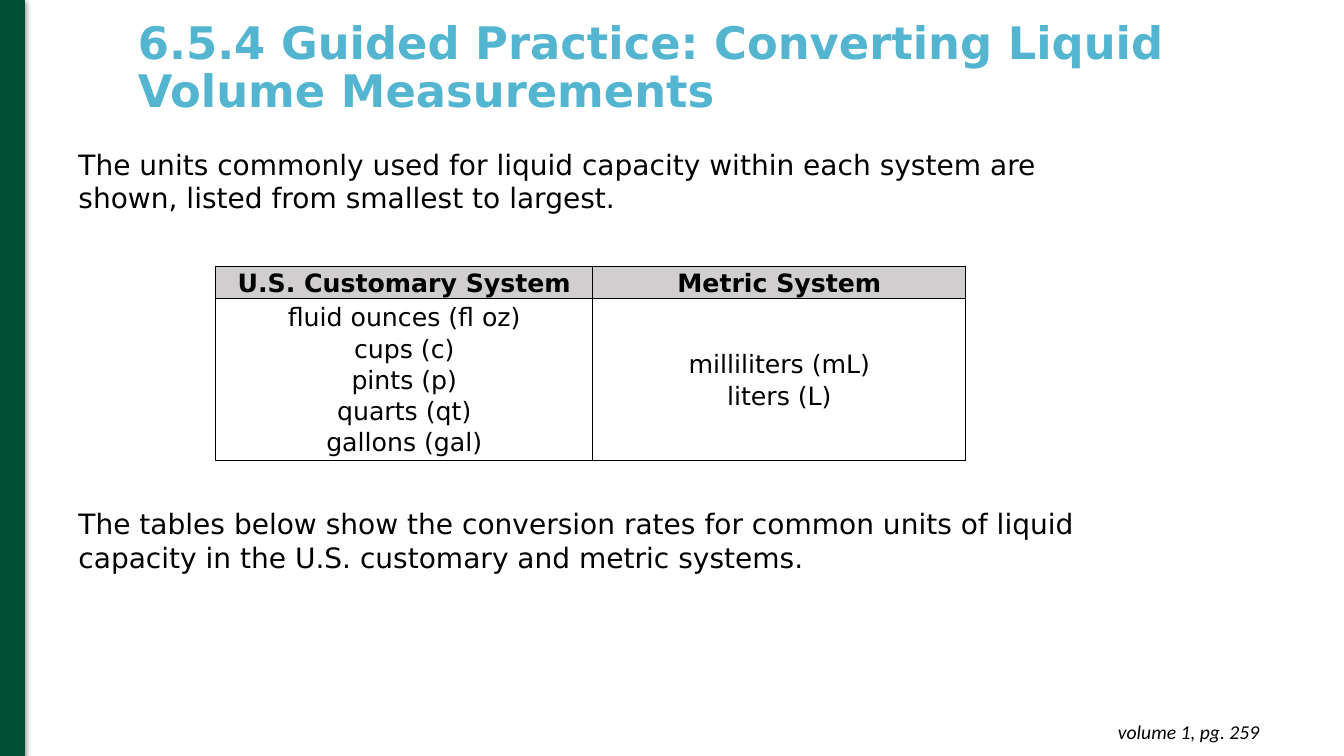
from lxml import etree
from pptx import Presentation
from pptx.dml.color import RGBColor
from pptx.enum.shapes import MSO_SHAPE
from pptx.enum.text import MSO_ANCHOR, PP_ALIGN
from pptx.oxml import parse_xml
from pptx.oxml.ns import nsdecls, qn
from pptx.util import Inches, Pt

RECT = MSO_SHAPE.RECTANGLE
MIDDLE, TOP = MSO_ANCHOR.MIDDLE, MSO_ANCHOR.TOP
LEFT, CENTER, RIGHT = PP_ALIGN.LEFT, PP_ALIGN.CENTER, PP_ALIGN.RIGHT
SANS = "DejaVu Sans"
BLACK, GREEN, BLUE, GRAY, WHITE = "000000", "035036", "54B5D1", "D0CECE", "FFFFFF"

INTRO = ("The units commonly used for liquid capacity within each system are "
         "shown, listed from smallest to largest.")
OUTRO = ("The tables below show the conversion rates for common units of liquid "
         "capacity in the U.S. customary and metric systems.")
UNITS = [
    ["U.S. Customary System", "Metric System"],
    ["fluid ounces (fl oz)\ncups (c)\npints (p)\nquarts (qt)\ngallons (gal)",
     "milliliters (mL)\nliters (L)"],
]


def color(code):
    return RGBColor.from_string(code)


def write(frame, text, size, code=BLACK, font=SANS, bold=False, italic=False,
          align=LEFT, spacing=None):
    """Fill a text frame with one paragraph per line of text."""
    frame.text = text
    for para in frame.paragraphs:
        para.alignment = align
        para.line_spacing = spacing
        para.font.name = font
        para.font.size = Pt(size)
        para.font.bold = bold
        para.font.italic = italic
        para.font.color.rgb = color(code)


def add_text(slide, box, text, size, anchor=TOP, pad=0.05, **style):
    frame = slide.shapes.add_textbox(*map(Inches, box)).text_frame
    frame.word_wrap = True
    frame.vertical_anchor = anchor
    frame.margin_top = frame.margin_bottom = Inches(pad)
    write(frame, text, size, **style)


def add_bar(slide, box):
    """Add the green side bar with its soft shadow."""
    bar = slide.shapes.add_shape(RECT, *map(Inches, box))
    bar.fill.solid()
    bar.fill.fore_color.rgb = color(GREEN)
    bar.line.color.rgb = color(GREEN)
    bar.line.width = Pt(0.75)
    bar.shadow.inherit = False
    effects = bar._element.spPr.find(qn("a:effectLst"))
    effects.append(parse_xml(
        f'<a:outerShdw {nsdecls("a")} blurRad="{Pt(4.5)}" dist="{Pt(1.5)}" '
        f'dir="5400000" rotWithShape="0"><a:srgbClr val="{BLACK}">'
        '<a:alpha val="50000"/></a:srgbClr></a:outerShdw>'))


def add_borders(cell):
    props = cell._tc.get_or_add_tcPr()
    for place, side in enumerate(("lnL", "lnR", "lnT", "lnB")):
        line = etree.Element(qn(f"a:{side}"), w=str(Pt(1)))
        fill = etree.SubElement(line, qn("a:solidFill"))
        etree.SubElement(fill, qn("a:srgbClr"), val=BLACK)
        props.insert(place, line)


def add_units(slide, left, top, widths, heights):
    table = slide.shapes.add_table(
        len(heights), len(widths), Inches(left), Inches(top),
        Inches(sum(widths)), Inches(sum(heights))).table
    for column, width in zip(table.columns, widths):
        column.width = Inches(width)
    for row, height, texts in zip(table.rows, heights, UNITS):
        row.height = Inches(height)
        head = texts is UNITS[0]
        for cell, text in zip(row.cells, texts):
            cell.fill.solid()
            cell.fill.fore_color.rgb = color(GRAY if head else WHITE)
            cell.vertical_anchor = MIDDLE
            cell.margin_left = cell.margin_right = Inches(0.07)
            cell.margin_top = cell.margin_bottom = 0
            write(cell.text_frame, text, 18, bold=head, align=CENTER, spacing=1.07)
            add_borders(cell)


def main():
    deck = Presentation()
    deck.slide_width, deck.slide_height = Inches(13.33), Inches(7.5)
    slide = deck.slides.add_slide(deck.slide_layouts[6])
    add_bar(slide, (0, 0, 0.24, 7.5))
    add_text(slide, (1.27, -0.04, 11.93, 1.45),
             "6.5.4 Guided Practice: Converting Liquid Volume Measurements",
             32, anchor=MIDDLE, code=BLUE, bold=True, spacing=0.9)
    for top, text in ((1.41, INTRO), (4.98, OUTRO)):
        add_text(slide, (0.68, top, 10.66, 0.77), text, 20)
    add_units(slide, 2.14, 2.64, (3.74, 3.7), (0.32, 1.61))
    add_text(slide, (8, 7.04, 4.59, 0.44), "volume 1, pg. 259", 14, pad=0.1,
             font="Calibri", italic=True, align=RIGHT)
    deck.save("out.pptx")


if __name__ == "__main__":
    main()
